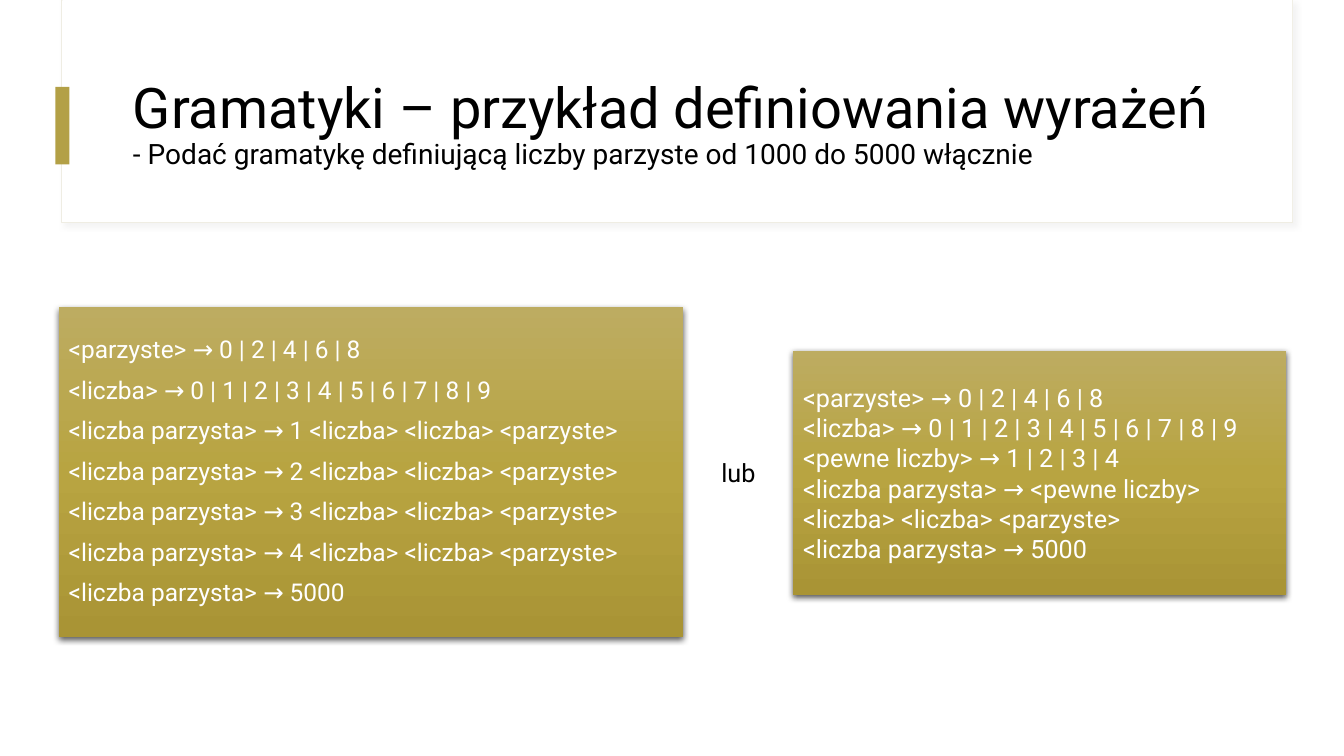
import copy

from lxml import etree
from pptx import Presentation
from pptx import util as u
from pptx.dml.color import RGBColor
from pptx.enum import shapes, text
from pptx.oxml import ns

COLOURS = {
    "paper": "FFFFFF",
    "ink": "000000",
    "gold": "B3A046",
    "edge": "EFEDE3",
    "haze": "D9D9D9",
    "gold_top": "BDAC61",
    "gold_middle": "B8A441",
    "gold_bottom": "A99435",
}
GOLD_STOPS = {"gold_top": 0, "gold_middle": 50, "gold_bottom": 100}
HEADER_SHADOW = {"colour": "haze", "alpha": 30, "blur": 4, "distance": 3, "angle": 45}
PANEL_SHADOW = {"colour": "ink", "alpha": 63, "blur": 4.5, "distance": 1.5, "angle": 90}
LEFT = text.PP_ALIGN.LEFT
CENTER = text.PP_ALIGN.CENTER


def apply(target, formats):
    for name, value in formats.items():
        setattr(target, name, value)


def add_node(parent, tag, **attributes):
    return etree.SubElement(parent, ns.qn(tag), {key: str(value) for key, value in attributes.items()})


class GrammarSlide:
    font = "Roboto"

    def __init__(self, deck):
        self.slide = deck.slides.add_slide(deck.slide_layouts[1])
        self.shapes = self.slide.shapes

    def colour(self, name):
        return RGBColor.from_string(COLOURS[name])

    def place(self, shape, box):
        apply(shape, dict(zip(("left", "top", "width", "height"), map(u.Pt, box))))

    def bring_forward(self, shape):
        self.shapes.element.append(shape.element)

    def rectangle(self, box, fill="paper", edge=None, shadow=None):
        shape = self.shapes.add_shape(shapes.MSO_SHAPE.RECTANGLE, *map(u.Pt, box))
        shape.fill.solid()
        shape.fill.fore_color.rgb = self.colour(fill)
        if edge:
            shape.line.color.rgb = self.colour(edge)
            shape.line.width = u.Pt(0.75)
        else:
            shape.line.fill.background()
        self.shadow(shape, shadow)
        return shape

    def shadow(self, shape, style):
        shape.shadow.inherit = False
        if style:
            effects = shape.element.spPr.find(ns.qn("a:effectLst"))
            outer = add_node(effects, "a:outerShdw", blurRad=u.Pt(style["blur"]),
                             dist=u.Pt(style["distance"]), dir=style["angle"] * 60000,
                             algn="ctr", rotWithShape=0)
            tint = add_node(outer, "a:srgbClr", val=COLOURS[style["colour"]])
            add_node(tint, "a:alpha", val=style["alpha"] * 1000)

    def gild(self, shape):
        shape.fill.gradient()
        shape.fill.gradient_angle = 270
        stops = shape.element.spPr.find(".//" + ns.qn("a:gsLst"))
        for stop in list(stops):
            stops.remove(stop)
        for name, position in GOLD_STOPS.items():
            stop = add_node(stops, "a:gs", pos=position * 1000)
            add_node(stop, "a:srgbClr", val=COLOURS[name])
        shape.line.fill.background()
        self.shadow(shape, PANEL_SHADOW)

    def frame(self, shape, auto_size=text.MSO_AUTO_SIZE.NONE):
        apply(shape.text_frame, {
            "word_wrap": True,
            "auto_size": auto_size,
            "vertical_anchor": text.MSO_ANCHOR.MIDDLE,
        })
        return shape.text_frame

    def run(self, paragraph, words, size, colour):
        run = paragraph.add_run()
        run.text = words
        apply(run.font, {"name": self.font, "size": u.Pt(size)})
        run.font.color.rgb = self.colour(colour)
        return run

    def lines(self, frame, rows, size, colour, formats):
        for index, row in enumerate(rows):
            paragraph = frame.paragraphs[0] if index == 0 else frame.add_paragraph()
            apply(paragraph, formats)
            self.run(paragraph, row, size, colour)

    def title(self, box, heading, task):
        title = self.shapes.title
        self.place(title, box)
        self.bring_forward(title)
        paragraph = self.frame(title).paragraphs[0]
        apply(paragraph, {"alignment": LEFT, "line_spacing": 0.9, "space_before": u.Pt(0)})
        first = self.run(paragraph, heading, 40, "ink")
        paragraph.add_line_break()
        line_break = paragraph.runs[0].font and first._r.getnext()
        line_break.append(copy.deepcopy(first._r.find(ns.qn("a:rPr"))))
        self.run(paragraph, task, 20, "ink")

    def rules_list(self, box, rules):
        body = self.slide.placeholders[1]
        self.place(body, box)
        self.bring_forward(body)
        self.gild(body)
        frame = self.frame(body)
        self.lines(frame, rules, 17.5, "paper",
                   {"alignment": LEFT, "line_spacing": 0.9, "space_before": u.Pt(10)})
        for properties in frame._txBody.iter(ns.qn("a:pPr")):
            apply_indent = {"marL": "0", "indent": "0"}
            for name, value in apply_indent.items():
                properties.set(name, value)
            add_node(properties, "a:buNone")

    def rules_panel(self, box, rules):
        panel = self.rectangle(box)
        self.gild(panel)
        self.lines(self.frame(panel), rules, 18, "paper", {"alignment": LEFT})

    def label(self, box, words):
        label = self.shapes.add_textbox(*map(u.Pt, box))
        frame = self.frame(label, text.MSO_AUTO_SIZE.SHAPE_TO_FIT_TEXT)
        self.lines(frame, [words], 18, "ink", {"alignment": CENTER})


def main():
    deck = Presentation()
    apply(deck, {"slide_width": u.Pt(960), "slide_height": u.Pt(540)})
    page = GrammarSlide(deck)

    even_digits = "<parzyste> → 0 | 2 | 4 | 6 | 8"
    digits = "<liczba> → " + " | ".join(map(str, range(10)))
    even_number = "<liczba parzysta> → "
    tail = " <liczba> <liczba> <parzyste>"
    limit = even_number + "5000"

    page.rectangle((43.9, 0, 879.1, 159.1), edge="edge", shadow=HEADER_SHADOW)
    page.rectangle((44.6, 0, 878.4, 158.4))
    page.rectangle((39.6, 62, 10.1, 55.4), fill="gold")
    page.title((87.8, 43.2, 800.6, 92.9),
               "Gramatyki – przykład definiowania wyrażeń",
               "- Podać gramatykę definiującą liczby parzyste od 1000 do 5000 włącznie")
    page.rules_list((41.8, 219.6, 446.4, 235.4),
                    [even_digits, digits,
                     *(f"{even_number}{thousands}{tail}" for thousands in range(1, 5)),
                     limit])
    page.rules_panel((566.6, 250.6, 352.1, 174.2),
                     [even_digits, digits, "<pewne liczby> → 1 | 2 | 3 | 4",
                      even_number + "<pewne liczby>" + tail, limit])
    page.label((502.6, 323.3, 49.7, 28.8), "lub")

    deck.save("out.pptx")


if __name__ == "__main__":
    main()
